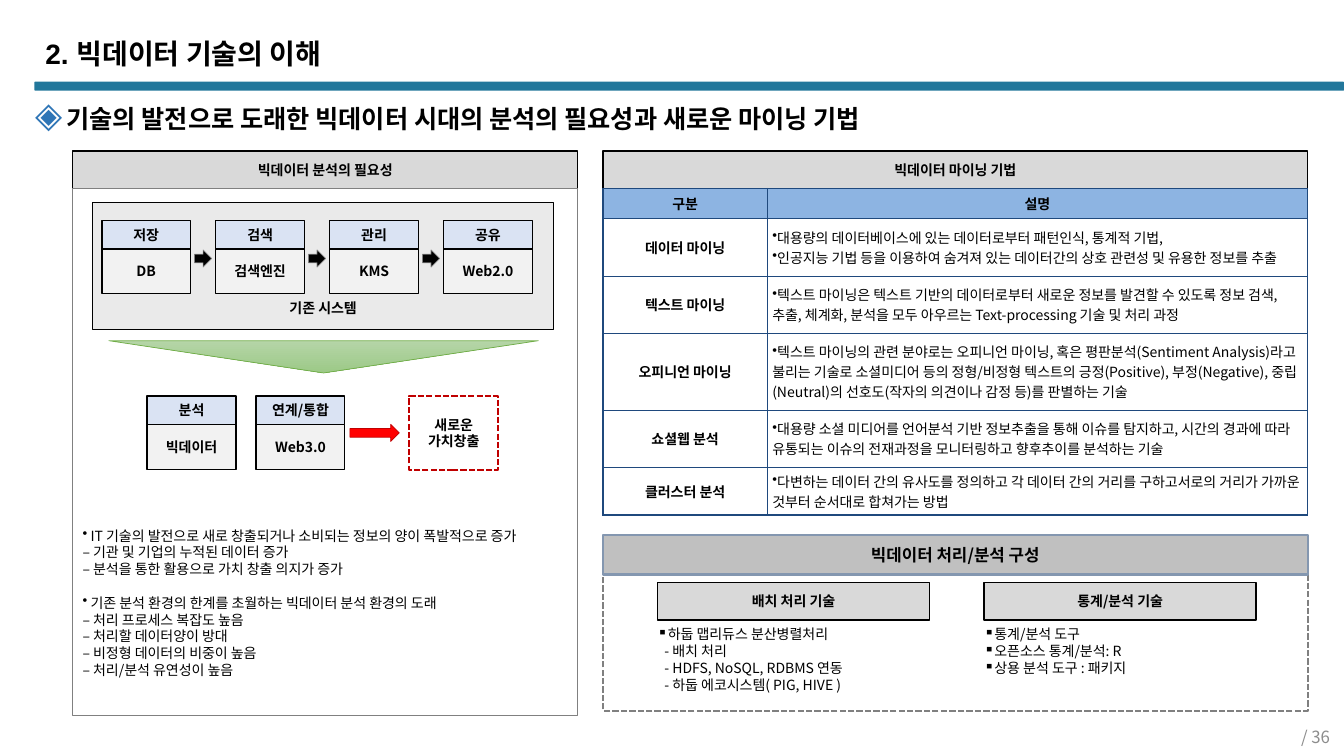
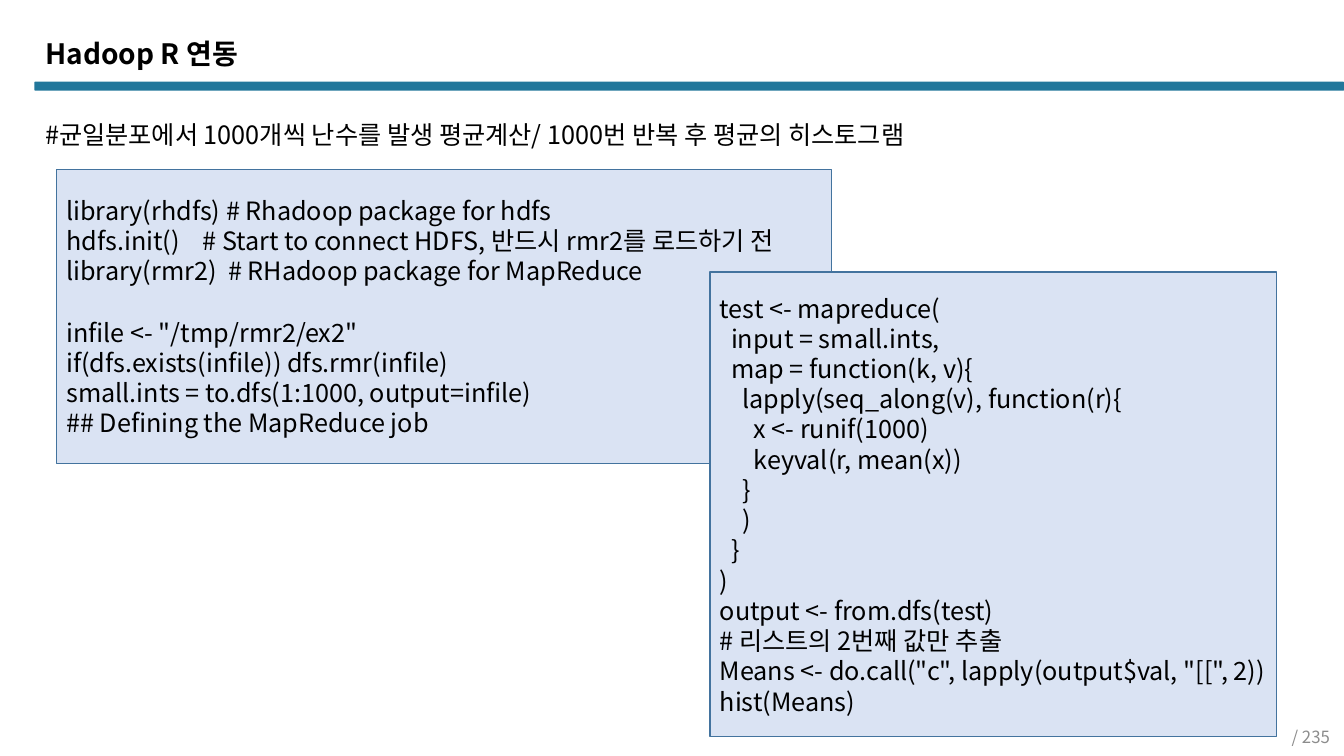
from dataclasses import dataclass
from itertools import product

from lxml.etree import SubElement
from pptx import Presentation
from pptx.dml.color import RGBColor
from pptx.enum.dml import MSO_LINE
from pptx.enum.shapes import MSO_SHAPE
from pptx.enum.text import MSO_ANCHOR, MSO_AUTO_SIZE, PP_ALIGN
from pptx.oxml.ns import qn
from pptx.util import Emu, Pt

SCALE = 9144  # EMU in one px, 100 px to the inch


@dataclass(frozen=True)
class Theme:
    font: str = "Noto Sans CJK KR"
    heading_font: str = "Arial"
    black: str = "000000"
    white: str = "FFFFFF"
    band: str = "22779B"
    footer: str = "8C8C8C"
    diamond: str = "2E75B6"
    header: str = "D9D9D9"
    strong_header: str = "C0C0C0"
    strong_edge: str = "8497B0"
    gray: str = "808080"
    system: str = "EAEAEA"
    pale_blue: str = "DAE3F3"
    pale_gray: str = "F2F2F2"
    table_head: str = "8DB4E2"
    table_line: str = "1F497D"
    code_line: str = "43739E"
    green_top: str = "B5D5A7"
    green_bottom: str = "9CC987"
    green_line: str = "70AD47"
    red: str = "FF0000"
    dark_red: str = "C00000"
    title_size: int = 20
    large: int = 18
    medium: int = 12
    small: int = 10


THEME = Theme()


@dataclass(frozen=True)
class Box:
    x: int
    y: int
    w: int
    h: int

    def inside(self, x, y, w, h):
        return Box(self.x + x, self.y + y, w, h)

    def emu(self):
        return [px(value) for value in (self.x, self.y, self.w, self.h)]


@dataclass(frozen=True)
class Line:
    text: str
    bullet: str = ""
    margin: int = 0
    hanging: int = 0
    before: int = 0


def px(value):
    return Emu(value * SCALE)


def color(value):
    return RGBColor.from_string(value)


# Text
def add_bullet(paragraph, character, tint=None, percent=None):
    properties = paragraph._p.get_or_add_pPr()
    if tint:
        SubElement(SubElement(properties, qn("a:buClr")), qn("a:srgbClr"), val=tint)
    if percent:
        SubElement(properties, qn("a:buSzPct"), val=str(percent * 1000))
    SubElement(properties, qn("a:buChar"), char=character)


def write(frame, lines, size=THEME.small, bold=False, align=PP_ALIGN.LEFT, font=THEME.font,
          ink=THEME.black, spacing=1.2, bullet_tint=None, bullet_percent=None):
    for index, line in enumerate(lines):
        line = line if isinstance(line, Line) else Line(line)
        paragraph = frame.paragraphs[0] if index == 0 else frame.add_paragraph()
        paragraph.alignment = align
        paragraph.line_spacing = Pt(round(size * spacing, 1))
        paragraph.space_before = Pt(line.before)
        properties = paragraph._p.get_or_add_pPr()
        properties.set("marL", str(px(line.margin)))
        properties.set("indent", str(px(-line.hanging)))
        if line.bullet:
            add_bullet(paragraph, line.bullet, bullet_tint, bullet_percent)
        run = paragraph.add_run()
        run.text = line.text
        run.font.size, run.font.bold, run.font.name = Pt(size), bold, font
        run.font.color.rgb = color(ink)
        SubElement(run._r.get_or_add_rPr(), qn("a:ea"), typeface=THEME.font)


def set_frame(frame, anchor=MSO_ANCHOR.TOP, insets=(10, 5, 10, 5), wrap=True):
    frame.auto_size, frame.word_wrap = MSO_AUTO_SIZE.NONE, wrap
    frame.vertical_anchor = anchor
    (frame.margin_left, frame.margin_top,
     frame.margin_right, frame.margin_bottom) = map(px, insets)


def add_text(slide, box, lines, anchor=MSO_ANCHOR.TOP, insets=(10, 5, 10, 5), **style):
    frame = slide.shapes.add_textbox(*box.emu()).text_frame
    set_frame(frame, anchor, insets)
    write(frame, lines, **style)


# Shapes
def add_figure(slide, box, fill=None, line=None, width=1, dashed=False, kind=MSO_SHAPE.RECTANGLE):
    shape = slide.shapes.add_shape(kind, *box.emu())
    shape.shadow.inherit = False
    if fill:
        shape.fill.solid()
        shape.fill.fore_color.rgb = color(fill)
    else:
        shape.fill.background()
    if line:
        shape.line.color.rgb = color(line)
        shape.line.width = Pt(width)
        if dashed:
            shape.line.dash_style = MSO_LINE.SQUARE_DOT
    else:
        shape.line.fill.background()
    return shape


def add_label(slide, box, lines, fill, line=THEME.black, width=1, dashed=False,
              anchor=MSO_ANCHOR.MIDDLE, insets=(10, 5, 10, 5), size=THEME.small):
    shape = add_figure(slide, box, fill, line, width, dashed)
    set_frame(shape.text_frame, anchor, insets, wrap=False)
    write(shape.text_frame, lines, size=size, bold=True, align=PP_ALIGN.CENTER)


def add_card(slide, box, name, example):
    add_label(slide, box.inside(0, 0, box.w, 28), [name], THEME.pale_blue)
    add_label(slide, box.inside(0, 28, box.w, box.h - 28), [example], THEME.pale_gray)


# Parts of every slide
def start_slide(presentation, title, page, title_font=THEME.font):
    slide = presentation.slides.add_slide(presentation.slide_layouts[5])
    band = add_figure(slide, Box(34, 81, 1299, 9), THEME.band, kind=MSO_SHAPE.ROUNDED_RECTANGLE)
    band.adjustments[0] = 0.13
    placeholder = slide.shapes.title
    placeholder.left, placeholder.top, placeholder.width, placeholder.height = Box(
        35, 33, 790, 47).emu()
    set_frame(placeholder.text_frame)
    write(placeholder.text_frame, [title], size=THEME.title_size, bold=True,
          font=title_font, spacing=1.13)
    add_text(slide, Box(1022, 719, 307, 23), [f"/ {page}"], MSO_ANCHOR.MIDDLE,
             size=THEME.medium, align=PP_ALIGN.RIGHT, ink=THEME.footer)
    return slide


# Left column: why analysis is needed
def add_need_panel(slide, box):
    add_label(slide, box.inside(0, 0, box.w, 37), ["빅데이터 분석의 필요성"], THEME.header)
    panel = add_figure(slide, box.inside(0, 37, box.w, box.h - 37), THEME.white, THEME.gray, 0.5)
    set_frame(panel.text_frame, insets=(10, 336, 10, 5))
    write(panel.text_frame, [
        Line("IT 기술의 발전으로 새로 창출되거나 소비되는 정보의 양이 폭발적으로 증가", "•", 8, 8),
        "– 기관 및 기업의 누적된 데이터 증가",
        "– 분석을 통한 활용으로 가치 창출 의지가 증가",
        Line("기존 분석 환경의 한계를 초월하는 빅데이터 분석 환경의 도래", "•", 8, 8, 12),
        "– 처리 프로세스 복잡도 높음",
        "– 처리할 데이터양이 방대",
        "– 비정형 데이터의 비중이 높음",
        "– 처리/분석 유연성이 높음",
    ])
    add_existing_system(slide, box.inside(20, 51, 457, 126))
    merge = add_figure(slide, box.inside(36, 188, 426, 32), THEME.green_top, THEME.green_line,
                       0.5, kind=MSO_SHAPE.FLOWCHART_MERGE)
    merge.fill.gradient()
    merge.fill.gradient_angle = 270
    for stop, tint in zip(merge.fill.gradient_stops, (THEME.green_top, THEME.green_bottom)):
        stop.color.rgb = color(tint)
    add_new_value(slide, box.inside(74, 243, 348, 73))


def add_existing_system(slide, box):
    add_label(slide, box, ["기존 시스템"], THEME.system, anchor=MSO_ANCHOR.BOTTOM,
              insets=(10, 5, 10, 13))
    cards = [("저장", "DB"), ("검색", "검색엔진"), ("관리", "KMS"), ("공유", "Web2.0")]
    pitch = 113
    for index, card in enumerate(cards):
        left = 9 + index * pitch
        add_card(slide, box.inside(left, 18, 88, 72), *card)
        if index < len(cards) - 1:
            add_figure(slide, box.inside(left + 92, 47, 17, 17), THEME.black, THEME.gray, 0.5,
                       kind=MSO_SHAPE.RIGHT_ARROW)


def add_new_value(slide, box):
    for index, card in enumerate([("분석", "빅데이터"), ("연계/통합", "Web3.0")]):
        add_card(slide, box.inside(index * 108, 0, 88, box.h), *card)
    add_figure(slide, box.inside(201, 28, 49, 17), THEME.red, THEME.dark_red, 0.5,
               kind=MSO_SHAPE.RIGHT_ARROW)
    add_label(slide, box.inside(260, 0, 88, box.h), ["새로운", "가치창출"], THEME.white,
              THEME.dark_red, 1.5, dashed=True)


# Right column: mining methods
def set_borders(cell, tint, width):
    properties = cell._tc.get_or_add_tcPr()
    for side in ("L", "R", "T", "B"):
        border = SubElement(properties, qn(f"a:ln{side}"), w=str(Pt(width)))
        SubElement(SubElement(border, qn("a:solidFill")), qn("a:srgbClr"), val=tint)


def add_methods_table(slide, box):
    add_label(slide, box.inside(0, 0, box.w, 37), ["빅데이터 마이닝 기법"], THEME.header)
    rows = [
        ("구분", ["설명"]),
        ("데이터 마이닝", ["대용량의 데이터베이스에 있는 데이터로부터 패턴인식, 통계적 기법,",
                     "인공지능 기법 등을 이용하여 숨겨져 있는 데이터간의 상호 관련성 및 유용한 정보를 추출"]),
        ("텍스트 마이닝", ["텍스트 마이닝은 텍스트 기반의 데이터로부터 새로운 정보를 발견할 수 있도록 정보 검색, "
                     "추출, 체계화, 분석을 모두 아우르는 Text-processing 기술 및 처리 과정"]),
        ("오피니언 마이닝", ["텍스트 마이닝의 관련 분야로는 오피니언 마이닝, 혹은 평판분석(Sentiment Analysis)"
                      "라고 불리는 기술로 소셜미디어 등의 정형/비정형 텍스트의 긍정(Positive), "
                      "부정(Negative), 중립(Neutral)의 선호도(작자의 의견이나 감정 등)를 판별하는 기술"]),
        ("쇼셜웹 분석", ["대용량 소셜 미디어를 언어분석 기반 정보추출을 통해 이슈를 탐지하고, 시간의 경과에 "
                    "따라 유통되는 이슈의 전재과정을 모니터링하고 향후추이를 분석하는 기술"]),
        ("클러스터 분석", ["다변하는 데이터 간의 유사도를 정의하고 각 데이터 간의 거리를 구하고서로의 거리가 "
                     "가까운 것부터 순서대로 합쳐가는 방법"]),
    ]
    table_box = box.inside(0, 37, box.w, box.h - 37)
    table = slide.shapes.add_table(len(rows), 2, *table_box.emu()).table
    table.first_row = table.horz_banding = False
    for column, width in zip(table.columns, (163, box.w - 163)):
        column.width = px(width)
    for row, height in zip(table.rows, (30, 57, 57, 76, 57, 47)):
        row.height = px(height)
    for row, column in product(range(len(rows)), range(2)):
        cell = table.cell(row, column)
        header, description = row == 0, row > 0 and column == 1
        set_borders(cell, THEME.table_line, 1)
        if header:
            cell.fill.solid()
            cell.fill.fore_color.rgb = color(THEME.table_head)
        else:
            cell.fill.background()
        cell.vertical_anchor = MSO_ANCHOR.MIDDLE
        cell.margin_left = cell.margin_right = px(0 if header else 5)
        cell.margin_top = cell.margin_bottom = 0
        texts = rows[row][1] if column else [rows[row][0]]
        write(cell.text_frame, [Line(text, "•" if description else "") for text in texts],
              bold=not description, spacing=1.43,
              align=PP_ALIGN.LEFT if description else PP_ALIGN.CENTER)


# Right column: processing and analysis
def add_composition(slide, box):
    add_figure(slide, box.inside(0, 38, box.w, box.h - 38), None, THEME.gray, 1.5, dashed=True)
    add_label(slide, box.inside(0, 0, box.w, 39), ["빅데이터 처리/분석 구성"],
              THEME.strong_header, THEME.strong_edge, 1.5, size=THEME.medium)
    groups = [
        ("배치 처리 기술", [Line("하둡 맵리듀스 분산병렬처리", "▪", 10, 10),
                      Line("- 배치 처리", margin=7),
                      Line("- HDFS, NoSQL, RDBMS 연동", margin=7),
                      Line("- 하둡 에코시스템( PIG, HIVE )", margin=7)]),
        ("통계/분석 기술", [Line(text, "▪", 10, 10) for text in (
            "통계/분석 도구", "오픈소스 통계/분석: R", "상용 분석 도구 : 패키지")]),
    ]
    for index, (name, lines) in enumerate(groups):
        left = 54 + index * 324
        add_label(slide, box.inside(left, 47, 270, 37), [name], THEME.header)
        add_text(slide, box.inside(left, 90, 270, 67), lines, insets=(0, 0, 0, 0))


def add_code(slide, box, lines):
    panel = add_figure(slide, box, THEME.pale_blue, THEME.code_line)
    set_frame(panel.text_frame, MSO_ANCHOR.MIDDLE)
    write(panel.text_frame, lines, size=THEME.large)


# Slides
def build_mining_slide(presentation):
    slide = start_slide(presentation, "2. 빅데이터 기술의 이해", 36, THEME.heading_font)
    heading = Line("기술의 발전으로 도래한 빅데이터 시대의 분석의 필요성과 새로운 마이닝 기법", "◈", 31, 31)
    add_text(slide, Box(35, 103, 1040, 30), [heading], insets=(0, 0, 0, 0), size=THEME.large,
             bold=True, font=THEME.heading_font, bullet_tint=THEME.diamond, bullet_percent=140)
    add_need_panel(slide, Box(72, 150, 501, 560))
    add_methods_table(slide, Box(598, 150, 699, 361))
    add_composition(slide, Box(598, 531, 699, 174))


def build_code_slide(presentation):
    slide = start_slide(presentation, "Hadoop R 연동", 235)
    add_text(slide, Box(35, 113, 1271, 40),
             ["#균일분포에서 1000개씩 난수를 발생 평균계산/ 1000번 반복 후 평균의 히스토그램"],
             size=THEME.large)
    add_code(slide, Box(56, 168, 769, 292), [
        "library(rhdfs) # Rhadoop package for hdfs",
        "hdfs.init()    # Start to connect HDFS, 반드시 rmr2를 로드하기 전",
        "library(rmr2)  # RHadoop package for MapReduce",
        Line('infile <- "/tmp/rmr2/ex2"', before=22),
        "if(dfs.exists(infile)) dfs.rmr(infile)",
        "small.ints = to.dfs(1:1000, output=infile)",
        "## Defining the MapReduce job",
    ])
    add_code(slide, Box(704, 270, 562, 461), [
        "test <- mapreduce(",
        "  input = small.ints,",
        "  map = function(k, v){",
        "    lapply(seq_along(v), function(r){",
        "      x <- runif(1000)",
        "      keyval(r, mean(x))",
        "    }",
        "    )",
        "  }",
        ")",
        "output <- from.dfs(test)",
        "# 리스트의 2번째 값만 추출",
        'Means <- do.call("c", lapply(output$val, "[[", 2))',
        "hist(Means)",
    ])


def main():
    presentation = Presentation()
    presentation.slide_width, presentation.slide_height = px(1333), px(750)
    build_mining_slide(presentation)
    build_code_slide(presentation)
    presentation.save("out.pptx")


if __name__ == "__main__":
    main()
